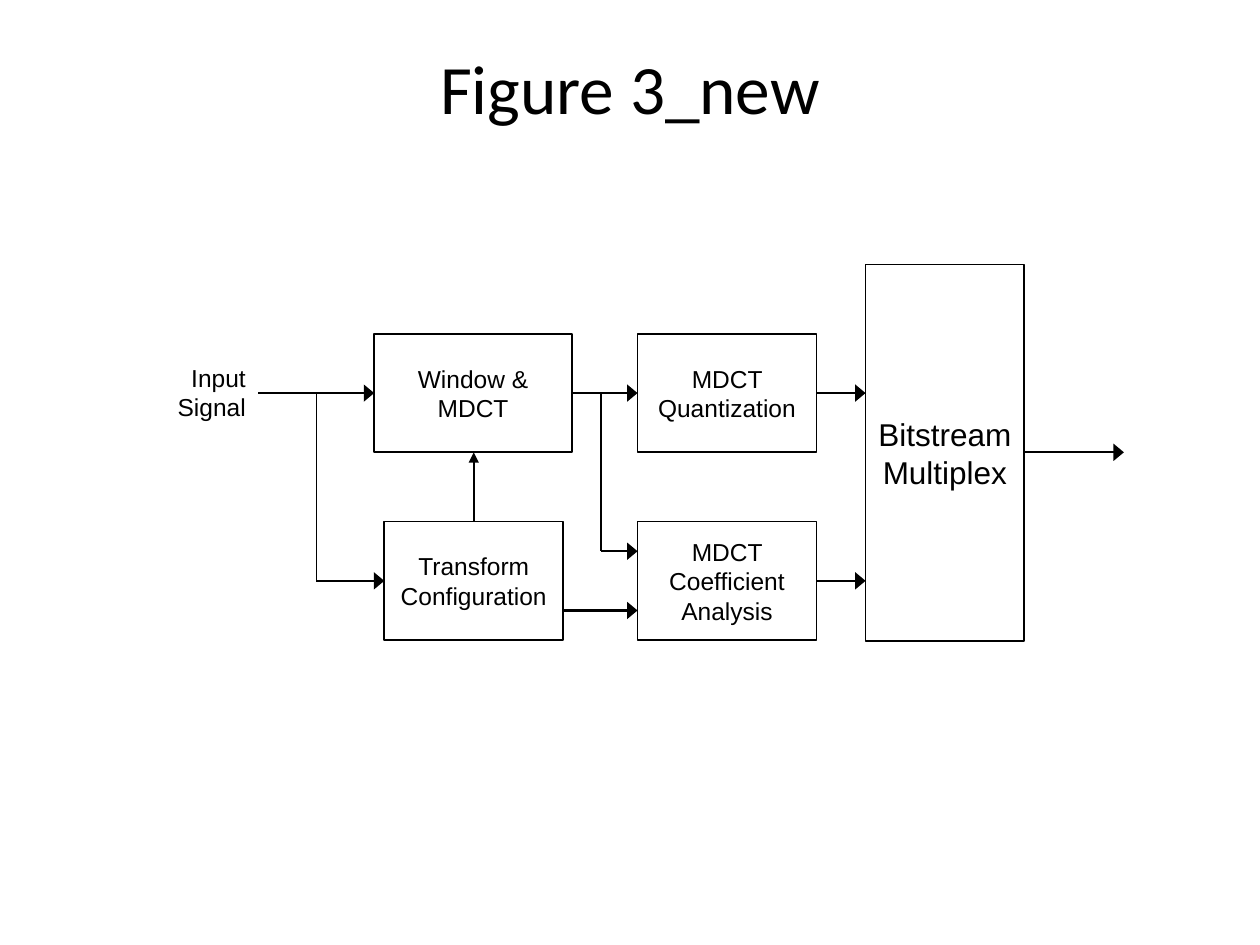
from pptx import Presentation
from pptx.dml.color import RGBColor
from pptx.enum.shapes import MSO_CONNECTOR as Conn, MSO_SHAPE as Shape
from pptx.enum.text import MSO_ANCHOR as Anchor, PP_ALIGN as Align
from pptx.oxml.ns import qn
from pptx.util import Inches, Pt
from lxml import etree

BLACK = RGBColor(0, 0, 0)
WHITE = RGBColor(255, 255, 255)


def write(frame, text, size=14, font="Arial", align=Align.CENTER,
          anchor=Anchor.MIDDLE, wrap=True, inset=0.05):
    frame.word_wrap = wrap
    frame.vertical_anchor = anchor
    frame.margin_left = frame.margin_right = Inches(inset)
    frame.margin_top = frame.margin_bottom = Inches(0.05)
    frame.text = text
    for para in frame.paragraphs:
        para.alignment = align
        for run in para.runs:
            run.font.size = Pt(size)
            run.font.name = font
            run.font.color.rgb = BLACK


class Board:
    def __init__(self, slide, ink=BLACK, fill=WHITE):
        self.slide = slide
        self.ink = ink
        self.fill = fill

    def title(self, text):
        title = self.slide.shapes.title
        title.left, title.top = Inches(0.5), Inches(0.3)
        title.width, title.height = Inches(9), Inches(0.77)
        write(title.text_frame, text, size=39.6, font="Calibri")

    def box(self, text, x, y, w, h, size=14):
        box = self.slide.shapes.add_shape(
            Shape.RECTANGLE, Inches(x), Inches(y), Inches(w), Inches(h))
        box.shadow.inherit = False
        box.fill.solid()
        box.fill.fore_color.rgb = self.fill
        box.line.color.rgb = self.ink
        box.line.width = Pt(1)
        write(box.text_frame, text, size=size)

    def label(self, text, x, y, w, h):
        box = self.slide.shapes.add_textbox(
            Inches(x), Inches(y), Inches(w), Inches(h))
        write(box.text_frame, text, align=Align.RIGHT,
              anchor=Anchor.TOP, wrap=False, inset=0.1)

    def line(self, x1, y1, x2, y2, width=0.75, head=None):
        line = self.slide.shapes.add_connector(
            Conn.STRAIGHT, Inches(x1), Inches(y1), Inches(x2), Inches(y2))
        line.line.color.rgb = self.ink
        line.line.width = Pt(width)
        if head:
            etree.SubElement(line.line._get_or_add_ln(), qn("a:tailEnd"),
                             type="triangle", w=head, len="med")
        etree.SubElement(line._element.spPr, qn("a:effectLst"))

    def arrow(self, x1, y1, x2, y2, head="lg"):
        self.line(x1, y1, x2, y2, width=1.25, head=head)


deck = Presentation()
deck.slide_width, deck.slide_height = Inches(10), Inches(7.5)
board = Board(deck.slides.add_slide(deck.slide_layouts[5]))
board.title("Figure 3_new")

TOP, LOW, HIGH = 2.65, 4.14, 0.94
MID, BASE = TOP + HIGH / 2, LOW + HIGH / 2
WIN, CONF, QUANT, MUX = 2.97, 3.05, 5.06, 6.87
WIDE, SLIM, TALL = 1.57, 1.42, 1.26
EXIT, TAP, FORK = QUANT + SLIM, 2.51, 4.77
STEP = HIGH / 4

board.box("Bitstream Multiplex", MUX, 2.1, TALL, 2.99, size=18)
for text, x, y, w in (
    ("Window & MDCT", WIN, TOP, WIDE),
    ("MDCT Quantization", QUANT, TOP, SLIM),
    ("Transform Configuration", CONF, LOW, SLIM),
    ("MDCT Coefficient Analysis", QUANT, LOW, SLIM),
):
    board.box(text, x, y, w, HIGH)
board.label("Input\nSignal", 1.3, 2.83, 0.75, 0.57)

for x1, x2, y in (
    (2.05, WIN, MID),
    (WIN + WIDE, QUANT, MID),
    (EXIT, MUX, MID),
    (TAP, CONF, BASE),
    (EXIT, MUX, BASE),
    (FORK, QUANT, BASE - STEP),
    (CONF + SLIM, QUANT, BASE + STEP),
    (MUX + TALL, 8.92, TOP + HIGH),
):
    board.arrow(x1, y, x2, y)
board.arrow(3.76, LOW, 3.76, TOP + HIGH, head="med")

for x, y in ((TAP, BASE), (FORK, BASE - STEP)):
    board.line(x, MID, x, y)

deck.save("out.pptx")
